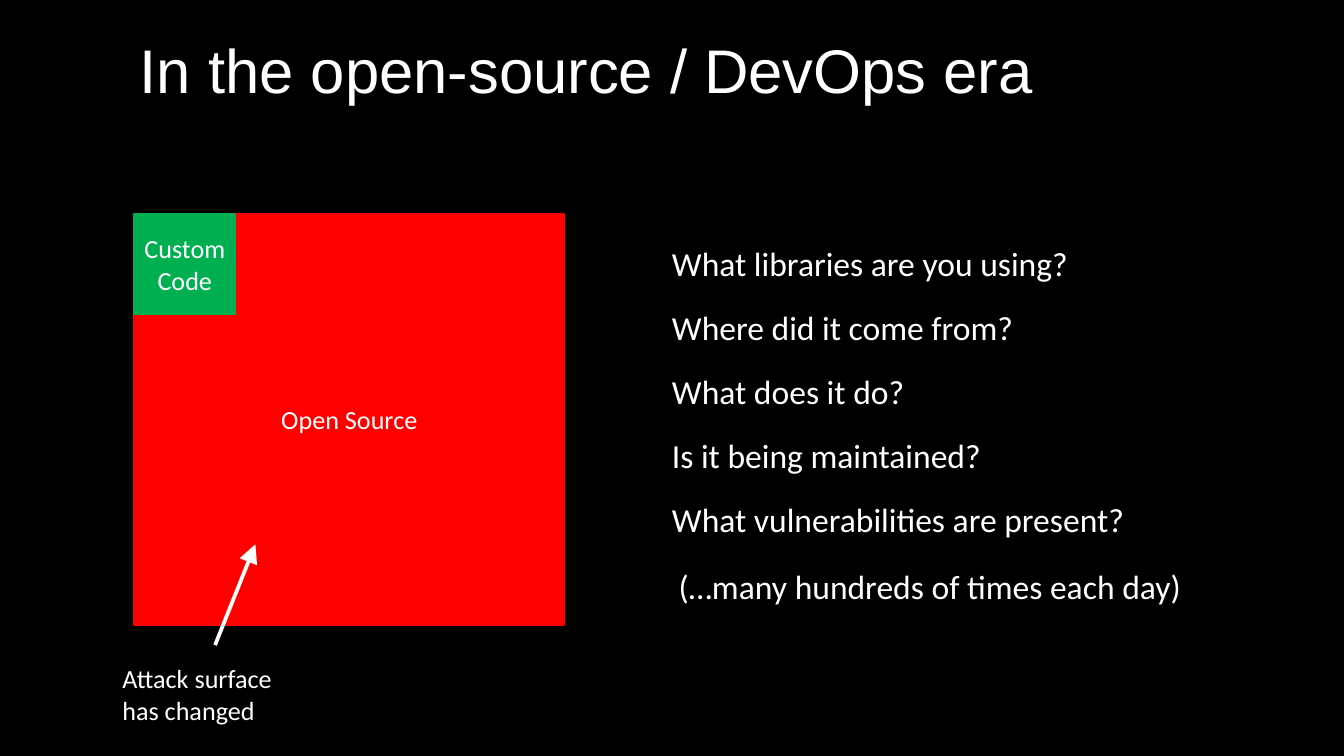
from dataclasses import dataclass

from lxml.etree import SubElement
from pptx import Presentation
from pptx.dml.color import RGBColor
from pptx.enum.shapes import MSO_CONNECTOR, MSO_SHAPE
from pptx.enum.text import MSO_ANCHOR, MSO_AUTO_SIZE, PP_ALIGN
from pptx.oxml.ns import qn
from pptx.util import Inches, Pt

WHITE = "FFFFFF"
BLACK = "000000"
RED = "FF0000"
GREEN = "00B050"


@dataclass
class Box:
    left: float
    top: float
    width: float
    height: float

    def lengths(self) -> list:
        return [Inches(v) for v in (self.left, self.top, self.width, self.height)]


@dataclass
class Block:
    label: str
    box: Box
    color: str


@dataclass
class Note:
    lines: list[str]
    box: Box
    size: int


def rgb(value: str) -> RGBColor:
    return RGBColor.from_string(value)


def write(tf, lines: list[str], size: int, font: str = "Calibri",
          align=PP_ALIGN.LEFT, anchor=MSO_ANCHOR.TOP) -> None:
    tf.word_wrap = True
    tf.auto_size = MSO_AUTO_SIZE.NONE
    tf.vertical_anchor = anchor
    tf.margin_left = tf.margin_right = Inches(0.04)
    tf.margin_top = tf.margin_bottom = Inches(0.04)
    for i, line in enumerate(lines):
        p = tf.add_paragraph() if i else tf.paragraphs[0]
        p.alignment = align
        r = p.add_run()
        r.text = line
        r.font.name = font
        r.font.size = Pt(size)
        r.font.color.rgb = rgb(WHITE)


def add_title(s, text: str) -> None:
    sp = s.shapes.title
    sp.left, sp.top, sp.width, sp.height = Box(0, 0, 8.62, 1.09).lengths()
    write(sp.text_frame, [text], 33, "Arial", anchor=MSO_ANCHOR.MIDDLE)
    p = sp.text_frame.paragraphs[0]
    p.line_spacing = 0.9
    p._p.get_or_add_pPr().set("marL", str(Inches(1)))


def add_block(s, block: Block) -> None:
    sp = s.shapes.add_shape(MSO_SHAPE.RECTANGLE, *block.box.lengths())
    sp.shadow.inherit = False
    sp.fill.solid()
    sp.fill.fore_color.rgb = rgb(block.color)
    sp.line.color.rgb = rgb(block.color)
    sp.line.width = Pt(1)
    write(sp.text_frame, [block.label], 14,
          align=PP_ALIGN.CENTER, anchor=MSO_ANCHOR.MIDDLE)


def add_note(s, note: Note) -> None:
    sp = s.shapes.add_textbox(*note.box.lengths())
    write(sp.text_frame, note.lines, note.size)


def add_arrow(s, x1: float, y1: float, x2: float, y2: float) -> None:
    sp = s.shapes.add_connector(
        MSO_CONNECTOR.STRAIGHT, Inches(x1), Inches(y1), Inches(x2), Inches(y2))
    sp.line.color.rgb = rgb(WHITE)
    sp.line.width = Pt(2)
    SubElement(sp.line._get_or_add_ln(), qn("a:tailEnd"),
               type="triangle", w="lg", len="lg")
    SubElement(sp._element.spPr, qn("a:effectLst"))


QUESTIONS = [
    "What libraries are you using?",
    "Where did it come from?",
    "What does it do?",
    "Is it being maintained?",
    "What vulnerabilities are present?",
]
FIRST_TOP = 1.77
LAST_TOP = 3.67
QUESTION_STEP = (LAST_TOP - FIRST_TOP) / (len(QUESTIONS) - 1)

BLOCKS = [
    Block("Open Source", Box(1, 1.59, 3.2, 3.06), RED),
    Block("Custom Code", Box(1, 1.59, 0.75, 0.75), GREEN),
]

NOTES = [
    Note([q], Box(4.96, FIRST_TOP + i * QUESTION_STEP, 4.53, 0.37), 18)
    for i, q in enumerate(QUESTIONS)
] + [
    Note(["(…many hundreds of times each day)"], Box(5.01, 4.17, 4.43, 0.37), 18),
    Note(["Attack surface", "has changed"], Box(0.87, 4.89, 1.41, 0.51), 14),
]


def main() -> None:
    prs = Presentation()
    prs.slide_width = Inches(10)
    prs.slide_height = Inches(10 * 9 / 16)
    s = prs.slides.add_slide(prs.slide_layouts[5])
    s.background.fill.solid()
    s.background.fill.fore_color.rgb = rgb(BLACK)

    add_title(s, "In the open-source / DevOps era")
    for block in BLOCKS:
        add_block(s, block)
    add_arrow(s, 1.6, 4.8, 1.9, 4.05)
    for note in NOTES:
        add_note(s, note)

    prs.save("out.pptx")


if __name__ == "__main__":
    main()
